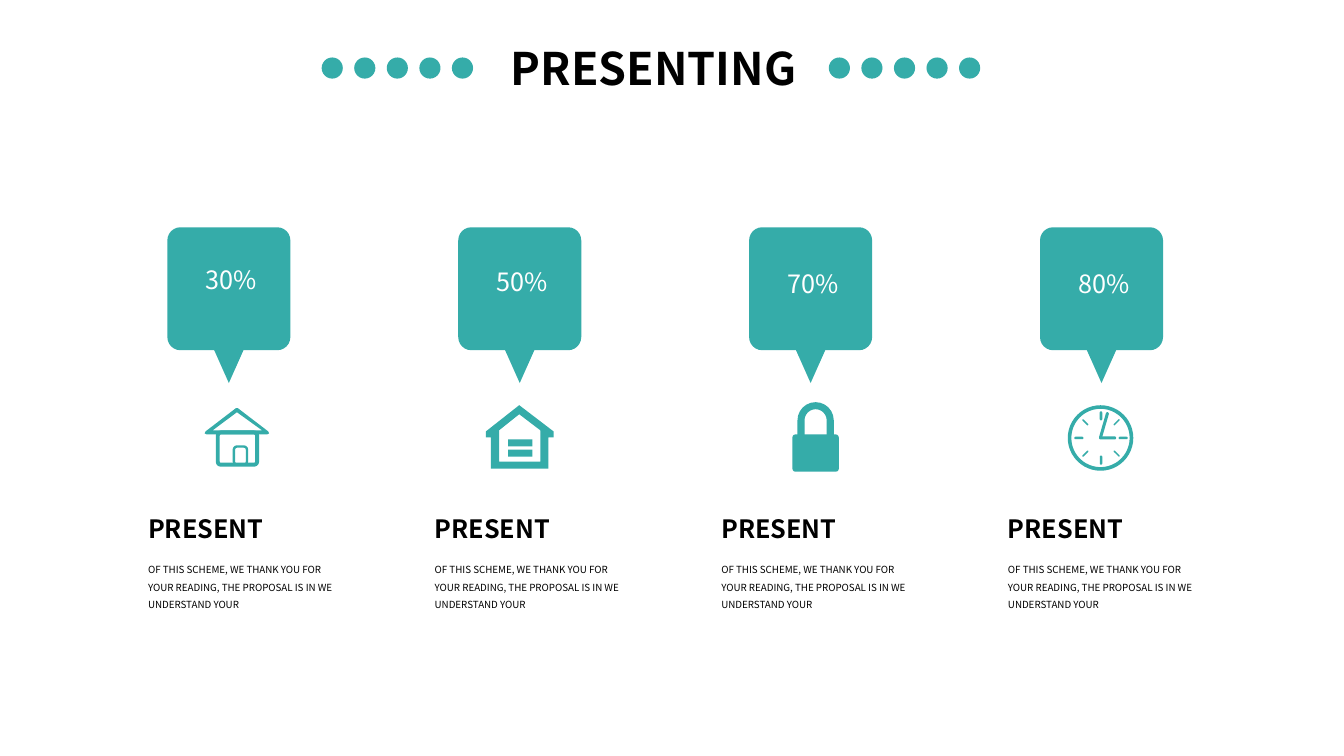
from dataclasses import dataclass
from math import cos, radians, sin

from pptx import Presentation
from pptx.dml.color import RGBColor as RGB
from pptx.enum.shapes import MSO_SHAPE as Kind
from pptx.enum.text import MSO_AUTO_SIZE as Fit, PP_ALIGN as Align
from pptx.util import Inches, Pt


@dataclass(frozen=True)
class Theme:
    font: str = "Noto Sans CJK JP"
    teal: RGB = RGB(0x35, 0xAC, 0xA9)
    black: RGB = RGB(0, 0, 0)
    white: RGB = RGB(255, 255, 255)
    title: int = 32
    head: int = 18
    body: int = 7


theme = Theme()
deck = Presentation()
deck.slide_width, deck.slide_height = Inches(13.33), Inches(7.5)
slide = deck.slides.add_slide(deck.slide_layouts[6])
shapes = slide.shapes


def write(text, x, y, w, h, size=theme.head, color=theme.black, bold=False,
          align=Align.LEFT, wrap=False, space=1.0):
    box = shapes.add_textbox(Inches(x), Inches(y), Inches(w), Inches(h))
    frame = box.text_frame
    frame.word_wrap = wrap
    frame.auto_size = Fit.SHAPE_TO_FIT_TEXT
    para = frame.paragraphs[0]
    para.alignment, para.line_spacing = align, space
    run = para.add_run()
    run.text = text
    font = run.font
    font.name, font.size, font.bold = theme.font, Pt(size), bold
    font.color.rgb = color


def paint(shape):
    shape.shadow.inherit = False
    shape.fill.solid()
    shape.fill.fore_color.rgb = theme.teal
    shape.line.fill.background()


# Title between two rows of dots
write("PRESENTING", 4.85, 0.36, 3.27, 0.64, size=theme.title, bold=True,
      align=Align.CENTER)
for left in (3.19, 8.22):
    for i in range(5):
        paint(shapes.add_shape(Kind.OVAL, Inches(left + i * 0.323),
                               Inches(0.57), Inches(0.21), Inches(0.21)))

# Bubbles, one to a column
outlines = []
pitch = 2.885
for i in range(4):
    mid = 2.27 + i * pitch
    bubble = [(mid + 0.145, 3.475), (mid, 3.8), (mid - 0.145, 3.475)]
    for turn, dx, y in ((90, -0.48, 3.345), (180, -0.48, 2.385),
                        (270, 0.48, 2.385), (0, 0.48, 3.345)):
        bubble += [(mid + dx + 0.13 * cos(radians(turn + a)),
                    y + 0.13 * sin(radians(turn + a)))
                   for a in range(0, 91, 15)]
    outlines.append([bubble])

# Roof of the small house
outlines.append([
    [(2.05, 4.31), (2.03, 4.3), (2.04, 4.28), (2.34, 4.05), (2.36, 4.05),
     (2.66, 4.28), (2.67, 4.3), (2.65, 4.31)],
    [(2.6, 4.27), (2.35, 4.09), (2.11, 4.27)]])

# Depot with two bars inside
outlines.append([
    [(4.82, 4.28), (5.15, 4.02), (5.49, 4.28), (5.49, 4.34), (5.44, 4.34),
     (5.44, 4.65), (4.87, 4.65), (4.87, 4.34), (4.82, 4.34)],
    [(4.95, 4.58), (4.95, 4.27), (5.15, 4.11), (5.36, 4.27), (5.36, 4.58)],
    *[[(5.04, y), (5.28, y), (5.28, y + 0.07), (5.04, y + 0.07)]
      for y in (4.36, 4.46)]])

# Shackle of the lock
shackle = []
for r, angles in ((0.18, range(180, 361, 15)), (0.11, range(360, 179, -15))):
    arch = [(8.09 + r * cos(radians(a)), 4.17 + r * sin(radians(a)))
            for a in angles]
    shackle += [(arch[0][0], 4.32), *arch, (arch[-1][0], 4.32)]
outlines.append([shackle])

# Build every outline, holes included
for loops in outlines:
    pen = None
    for loop in loops:
        start, *rest = [(Inches(x), Inches(y)) for x, y in loop]
        if pen is None:
            pen = shapes.build_freeform(*start, scale=1.0)
        else:
            pen.move_to(*start)
        pen.add_line_segments(rest, close=True)
    paint(pen.convert_to_shape())

# Share on the bubble, heading and note below
note = ("OF THIS SCHEME, WE THANK YOU FOR YOUR READING, "
        "THE PROPOSAL IS IN WE UNDERSTAND YOUR")
shares = [("30%", 2.57), ("50%", 2.59), ("70%", 2.61), ("80%", 2.61)]
for i, (share, top) in enumerate(shares):
    write(share, 1.91 + i * pitch, top, 0.77, 0.4, color=theme.white,
          align=Align.CENTER)
    x = 1.37 + i * 2.843
    write("PRESENT", x, 5.04, 1.37, 0.4, bold=True)
    write(note, x, 5.485, 2.11, 0.61, size=theme.body, wrap=True, space=1.5)

# Wall and door of the small house
for x, y, w, h, width in ((2.16, 4.29, 0.39, 0.32, 2.8),
                          (2.32, 4.43, 0.13, 0.18, 1.7)):
    wall = shapes.add_shape(Kind.ROUNDED_RECTANGLE, Inches(x), Inches(y),
                            Inches(w), Inches(h))
    paint(wall)
    wall.adjustments[0] = 0.03 / min(w, h)
    wall.fill.background()
    wall.line.color.rgb = theme.teal
    wall.line.width = Pt(width)

# Clock rim
rim = shapes.add_shape(Kind.DONUT, Inches(10.59), Inches(4.02),
                       Inches(0.65), Inches(0.65))
paint(rim)
rim.adjustments[0] = 0.055

# Lock body, clock hands and ticks: centre, size, turn, rounding
bars = [(8.09, 4.495, 0.46, 0.37, 0, 0.08),
        (10.95, 4.22, 0.03, 0.27, 16, 0.5),
        (10.985, 4.345, 0.03, 0.17, 90, 0.5)]
for turn in range(0, 360, 45):
    wide, long = (0.015, 0.08) if turn % 90 else (0.025, 0.09)
    bars.append((10.92 + 0.22 * sin(radians(turn)),
                 4.345 - 0.22 * cos(radians(turn)), wide, long, turn, 0.5))
for x, y, w, h, turn, curve in bars:
    bar = shapes.add_shape(Kind.ROUNDED_RECTANGLE, Inches(x - w / 2),
                           Inches(y - h / 2), Inches(w), Inches(h))
    paint(bar)
    bar.adjustments[0] = curve
    bar.rotation = turn

deck.save("out.pptx")
